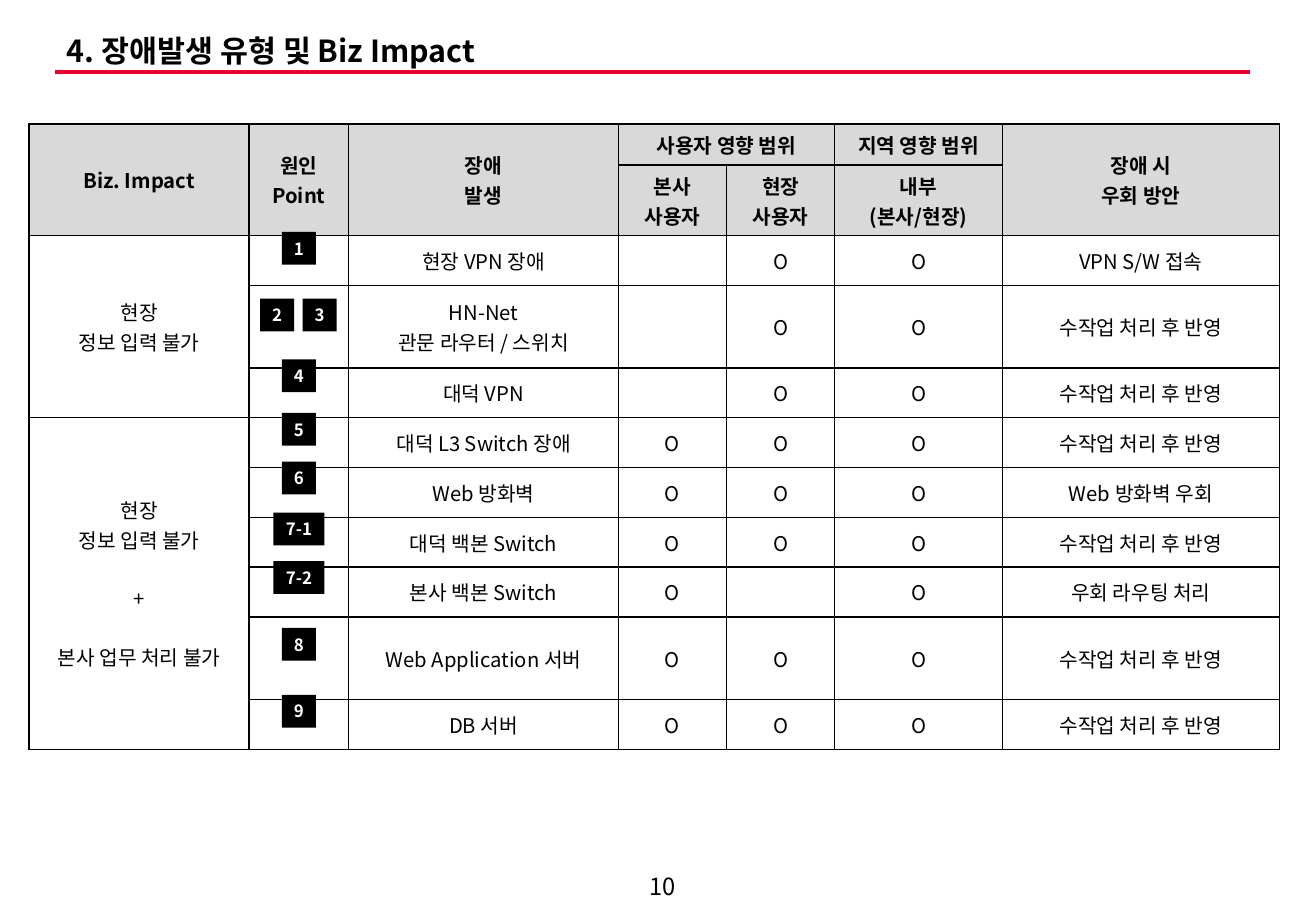
import pptx
import pptx.dml.color
import pptx.enum.shapes
import pptx.enum.text
import pptx.oxml
import pptx.oxml.ns
import pptx.util
from pptx.util import Inches

BLACK = pptx.dml.color.RGBColor(0x00, 0x00, 0x00)
WHITE = pptx.dml.color.RGBColor(0xFF, 0xFF, 0xFF)
RED = pptx.dml.color.RGBColor(0xEA, 0x00, 0x2C)
HEADER_GRAY = pptx.dml.color.RGBColor(0xD9, 0xD9, 0xD9)
FONT = "Noto Sans CJK KR"
NS = pptx.oxml.ns.nsdecls("a")
CENTER = pptx.enum.text.PP_ALIGN.CENTER
MIDDLE = pptx.enum.text.MSO_ANCHOR.MIDDLE


def write(frame, text, size, bold=False, color=BLACK, align=CENTER):
    """Fill a text frame; an empty line becomes space before the next paragraph."""
    gap = 0
    paragraph = None
    for line in text.split("\n"):
        if not line:
            gap = size * 1.45
            continue
        paragraph = frame.add_paragraph() if paragraph else frame.paragraphs[0]
        paragraph.text = line
        paragraph.alignment = align
        if gap:
            paragraph.space_before = pptx.util.Pt(gap)
            gap = 0
        paragraph.font.size = pptx.util.Pt(size)
        paragraph.font.bold = bold
        paragraph.font.color.rgb = color
        paragraph.font.name = FONT
        defaults = paragraph._p.pPr.find(pptx.oxml.ns.qn("a:defRPr"))
        defaults.set("kern", "0")
        defaults.append(pptx.oxml.parse_xml(f'<a:ea {NS} typeface="{FONT}"/>'))


def add_borders(cell):
    properties = cell._tc.get_or_add_tcPr()
    for side in ("lnL", "lnR", "lnT", "lnB"):
        properties.append(pptx.oxml.parse_xml(
            f'<a:{side} {NS} w="12700"><a:solidFill><a:srgbClr val="{BLACK}"/>'
            f'</a:solidFill></a:{side}>'))


deck = pptx.Presentation()
deck.slide_width, deck.slide_height = Inches(10.83), Inches(7.5)
slide = deck.slides.add_slide(deck.slide_layouts[5])

# Title, rule and page number
title = slide.shapes.title
title.left, title.top, title.width, title.height = map(Inches, (0.45, 0.25, 9.53, 0.37))
title.text_frame.vertical_anchor = MIDDLE
title.text_frame.auto_size = pptx.enum.text.MSO_AUTO_SIZE.SHAPE_TO_FIT_TEXT
write(title.text_frame, "4. 장애발생 유형 및 Biz Impact", 18, True,
      align=pptx.enum.text.PP_ALIGN.LEFT)
title.text_frame.paragraphs[0].line_spacing = 0.9

title_rule = slide.shapes.add_connector(
    pptx.enum.shapes.MSO_CONNECTOR.STRAIGHT,
    Inches(0.45), Inches(0.59), Inches(10.29), Inches(0.59))
title_rule.line.color.rgb = RED
title_rule.line.width = pptx.util.Pt(2.25)
title_rule._element.spPr.append(pptx.oxml.parse_xml(f"<a:effectLst {NS}/>"))

page_number = slide.shapes.add_textbox(Inches(5.1), Inches(7.14), Inches(0.71), Inches(0.31))
page_number.text_frame.word_wrap = True
page_number.text_frame.vertical_anchor = MIDDLE
write(page_number.text_frame, "10", 14)

# Impact table
MANUAL = "수작업 처리 후 반영"
HEADER_ROWS = 2
ROWS = [
    ("Biz. Impact", "원인Point", "장애\n발생", "사용자 영향 범위", "", "지역 영향 범위", "장애 시\n우회 방안"),
    ("", "", "", "본사\n사용자", "현장\n사용자", "내부\n(본사/현장)", ""),
    ("현장\n정보 입력 불가", "", "현장 VPN 장애", "", "O", "O", "VPN S/W 접속"),
    ("", "", "HN-Net\n관문 라우터 / 스위치", "", "O", "O", MANUAL),
    ("", "", "대덕 VPN", "", "O", "O", MANUAL),
    ("현장\n정보 입력 불가\n\n+\n\n본사 업무 처리 불가", "", "대덕 L3 Switch 장애", "O", "O", "O", MANUAL),
    ("", "", "Web 방화벽", "O", "O", "O", "Web 방화벽 우회"),
    ("", "", "대덕 백본 Switch", "O", "O", "O", MANUAL),
    ("", "", "본사 백본 Switch", "O", "", "O", "우회 라우팅 처리"),
    ("", "", "Web Application 서버", "O", "O", "O", MANUAL),
    ("", "", "DB 서버", "O", "O", "O", MANUAL),
]
COLUMN_WIDTHS = (1.81, 0.82, 2.22, 0.89, 0.89, 1.38, 2.28)
ROW_HEIGHTS = (0.34, 0.58, 0.41, 0.68, 0.41, 0.41, 0.41, 0.41, 0.41, 0.68, 0.41)
MERGES = [((0, 0), (1, 0)), ((0, 1), (1, 1)), ((0, 2), (1, 2)), ((0, 3), (0, 4)),
          ((0, 6), (1, 6)), ((2, 0), (4, 0)), ((5, 0), (10, 0))]

impact = slide.shapes.add_table(
    len(ROWS), len(COLUMN_WIDTHS), Inches(0.24), Inches(1.02),
    Inches(sum(COLUMN_WIDTHS)), Inches(sum(ROW_HEIGHTS))).table
impact.first_row = impact.horz_banding = False
for column, width in zip(impact.columns, COLUMN_WIDTHS):
    column.width = Inches(width)
for row, height in zip(impact.rows, ROW_HEIGHTS):
    row.height = Inches(height)
for start, end in MERGES:
    impact.cell(*start).merge(impact.cell(*end))
for r, texts in enumerate(ROWS):
    is_header = r < HEADER_ROWS
    for c, text in enumerate(texts):
        cell = impact.cell(r, c)
        cell.vertical_anchor = MIDDLE
        add_borders(cell)
        cell.fill.solid()
        cell.fill.fore_color.rgb = HEADER_GRAY if is_header else WHITE
        write(cell.text_frame, text, 12, is_header)

# Cause point badges: label, centre x, top
BADGES = [
    ("1", 2.46, 1.91), ("2", 2.28, 2.46), ("3", 2.63, 2.46), ("4", 2.46, 2.96),
    ("5", 2.46, 3.4), ("6", 2.46, 3.8), ("7-1", 2.46, 4.22), ("7-2", 2.46, 4.62),
    ("8", 2.46, 5.17), ("9", 2.46, 5.72),
]
for label, center, top in BADGES:
    width = 0.28 if len(label) == 1 else 0.42
    badge = slide.shapes.add_shape(
        pptx.enum.shapes.MSO_SHAPE.RECTANGLE,
        Inches(center - width / 2), Inches(top), Inches(width), Inches(0.27))
    badge.shadow.inherit = False
    badge.fill.solid()
    badge.fill.fore_color.rgb = BLACK
    badge.line.fill.background()
    badge.text_frame.word_wrap = False
    badge.text_frame.auto_size = pptx.enum.text.MSO_AUTO_SIZE.SHAPE_TO_FIT_TEXT
    badge.text_frame.vertical_anchor = MIDDLE
    write(badge.text_frame, label, 10, True, WHITE)

deck.save("out.pptx")
